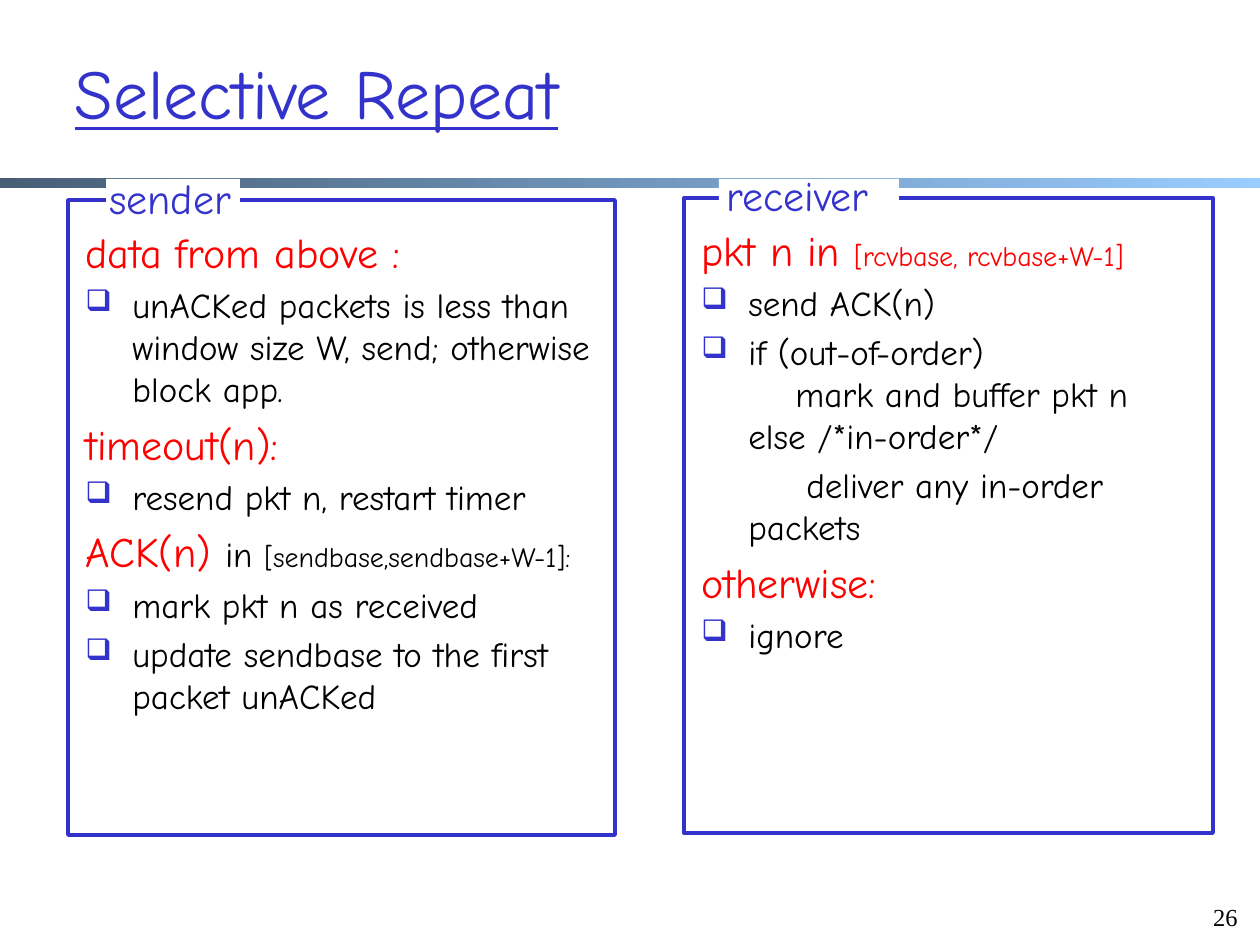
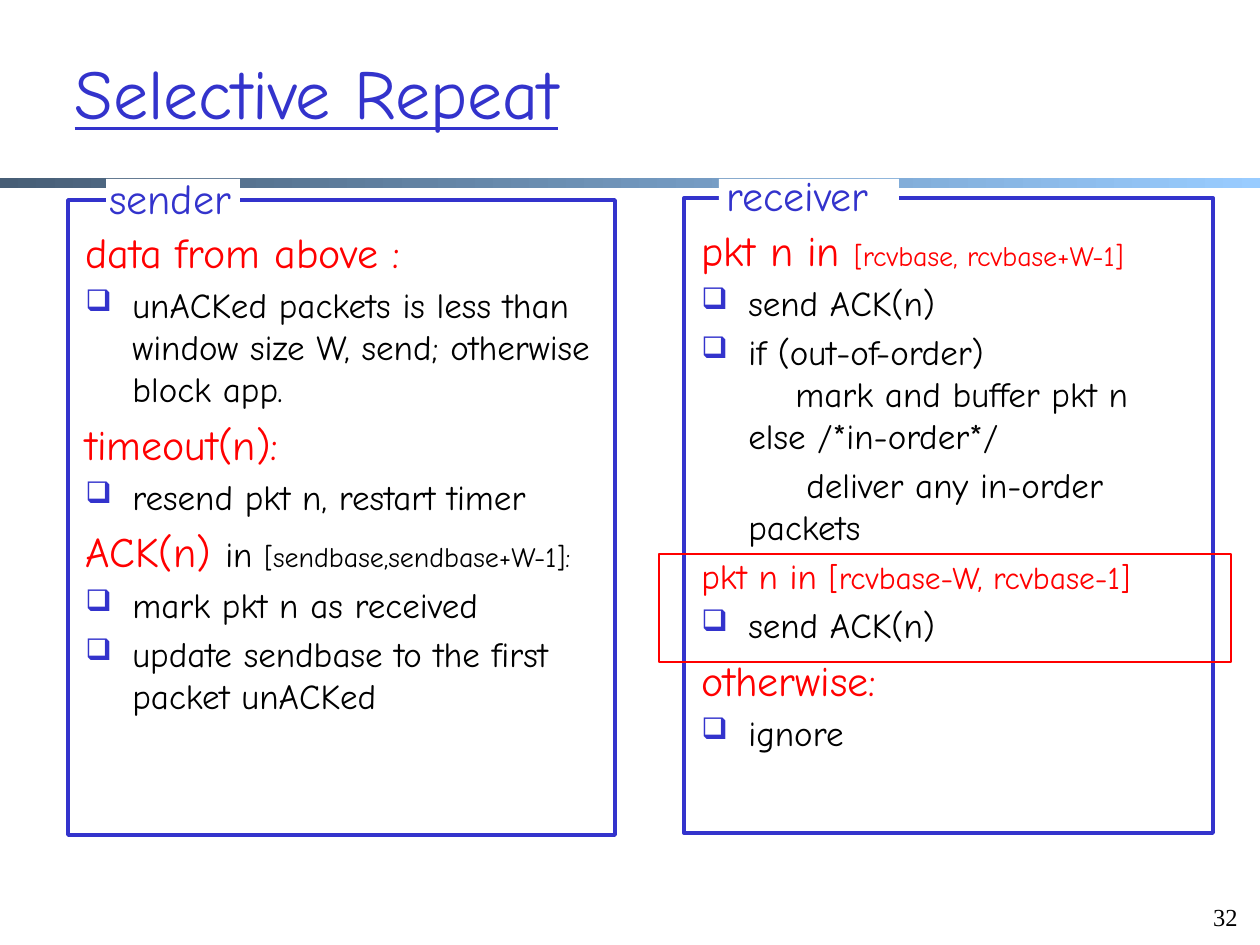
from lxml import etree
from pptx import Presentation
from pptx import util as u
from pptx.dml.color import RGBColor
from pptx.enum import shapes, text
from pptx.oxml import ns

BLUE = RGBColor(0x33, 0x33, 0xCC)
RED = RGBColor(0xFF, 0x00, 0x00)
BLACK = RGBColor(0x00, 0x00, 0x00)
WHITE = RGBColor(0xFF, 0xFF, 0xFF)
BAND_DARK = RGBColor(0x47, 0x5E, 0x76)
BAND_LIGHT = RGBColor(0x99, 0xCC, 0xFF)

PX_PER_INCH = 126
INDENT = 47  # hanging indent of bulleted text


def px(length):
    return u.Emu(round(length * u.Inches(1) / PX_PER_INCH))


# Run formats
BODY = {"size": u.Pt(20), "name": "Comic Neue", "color": BLACK}
SMALL = {**BODY, "size": u.Pt(16)}
HEADING = {**BODY, "size": u.Pt(24), "color": RED}
RANGE = {**HEADING, "size": u.Pt(16)}
LABEL = {**HEADING, "color": BLUE}
TITLE = {**LABEL, "size": u.Pt(40), "underline": True}
NUMBER = {"size": u.Pt(14), "name": "Times New Roman", "color": BLACK}


# Paragraph kinds: each is (runs, layout)
def heading(*runs):
    return runs, {"left": INDENT, "first": -INDENT}


def bullet(words):
    return [(words, BODY)], {"left": INDENT, "first": -INDENT, "bullet": True}


def code(words, left=INDENT, first=0, spaced=False):
    return [(words, BODY)], {"left": left, "first": first, "spaced": spaced}


class Deck:
    def __init__(self):
        self.presentation = Presentation()
        self.presentation.slide_width = px(1260)
        self.presentation.slide_height = px(945)
        self.slide = None

    def start_slide(self, title):
        layout = self.presentation.slide_layouts[5]
        self.slide = self.presentation.slides.add_slide(layout)
        self.band(0, 178, 1260, 10)
        shape = self.slide.shapes.title
        shape.left, shape.top, shape.width, shape.height = map(px, (62, 34, 1071, 116))
        shape.text_frame.vertical_anchor = text.MSO_ANCHOR.MIDDLE
        paragraph = shape.text_frame.paragraphs[0]
        paragraph.alignment = text.PP_ALIGN.LEFT
        self.run(paragraph, title, TITLE)

    def rectangle(self, left, top, width, height, fill=None, line=None, weight=1):
        shape = self.slide.shapes.add_shape(
            shapes.MSO_SHAPE.RECTANGLE, *map(px, (left, top, width, height)))
        shape.shadow.inherit = False
        if fill is None:
            shape.fill.background()
        else:
            shape.fill.solid()
            shape.fill.fore_color.rgb = fill
        if line is None:
            shape.line.fill.background()
        else:
            shape.line.color.rgb = line
            shape.line.width = u.Pt(weight)
        return shape

    def band(self, *box):
        fill = self.rectangle(*box).fill
        fill.gradient()
        fill.gradient_angle = 0
        for stop, color in zip(fill.gradient_stops, (BAND_DARK, BAND_LIGHT)):
            stop.color.rgb = color

    def run(self, paragraph, words, style):
        run = paragraph.add_run()
        run.text = words
        for key, value in style.items():
            if key == "color":
                run.font.color.rgb = value
            else:
                setattr(run.font, key, value)

    def text_box(self, left, top, width, height):
        frame = self.slide.shapes.add_textbox(
            *map(px, (left, top, width, height))).text_frame
        frame.word_wrap = True
        return frame

    def line_of_text(self, box, words, style, **paragraph_format):
        paragraph = self.text_box(*box).paragraphs[0]
        for key, value in paragraph_format.items():
            setattr(paragraph, key, value)
        self.run(paragraph, words, style)

    def paragraphs(self, box, items):
        frame = self.text_box(*box)
        for index, (runs, layout) in enumerate(items):
            paragraph = frame.add_paragraph() if index else frame.paragraphs[0]
            for words, style in runs:
                self.run(paragraph, words, style)
            if layout.get("spaced", True):
                paragraph.space_before = u.Pt(runs[0][1]["size"].pt * 0.2)
            properties = paragraph._p.get_or_add_pPr()
            properties.set("marL", str(px(layout["left"])))
            properties.set("indent", str(px(layout["first"])))
            if layout.get("bullet"):
                self.bullet_mark(properties)

    def bullet_mark(self, properties):
        color = etree.SubElement(properties, ns.qn("a:buClr"))
        etree.SubElement(color, ns.qn("a:srgbClr"), val=str(BLUE))
        etree.SubElement(properties, ns.qn("a:buSzPct"), val="85000")
        etree.SubElement(properties, ns.qn("a:buChar"), char="❑")

    def panel(self, label, frame, patch, label_box, text_box, items):
        self.paragraphs(text_box, items)
        self.rectangle(*frame, line=BLUE, weight=2.25)
        self.rectangle(*patch, fill=WHITE)
        self.line_of_text(label_box, label, LABEL)

    def page_number(self, number):
        self.line_of_text((1192, 896, 58, 40), str(number), NUMBER,
                          alignment=text.PP_ALIGN.RIGHT)


SENDER = [
    heading(("data from above :", HEADING)),
    bullet("unACKed packets is less than window size W, send; otherwise block app."),
    heading(("timeout(n):", HEADING)),
    bullet("resend pkt n, restart timer"),
    heading(("ACK(n) ", HEADING), ("in ", BODY), ("[sendbase,sendbase+W-1]:", SMALL)),
    bullet("mark pkt n as received"),
    bullet("update sendbase to the first packet unACKed"),
]
RECEIVER = [
    heading(("pkt n in ", HEADING), ("[rcvbase, rcvbase+W-1]", RANGE)),
    bullet("send ACK(n)"),
    bullet("if (out-of-order)"),
    code("mark and buffer pkt n", left=2 * INDENT),
    code("else /*in-order*/"),
    code("deliver any in-order packets", first=58, spaced=True),
]
OLD_PACKETS = [
    heading(("pkt n in ", {**BODY, "color": RED}),
            ("[rcvbase-W, rcvbase-1]", {**RANGE, "size": u.Pt(18)})),
    bullet("send ACK(n)"),
]
OTHERWISE = [heading(("otherwise:", HEADING)), bullet("ignore")]


def selective_repeat(deck, number, extra_case=()):
    deck.start_slide("Selective Repeat")
    deck.panel("sender", (68, 200, 547, 635), (106, 179, 134, 39),
               (97, 166, 159, 63), (73, 220, 568, 659), SENDER)
    deck.panel("receiver", (684, 198, 529, 635), (719, 179, 180, 39),
               (714, 163, 188, 63), (689, 218, 525, 640),
               [*RECEIVER, *extra_case, *OTHERWISE])
    deck.page_number(number)


def main():
    deck = Deck()
    selective_repeat(deck, 26)

    # Second slide adds the case of packets below the window
    selective_repeat(deck, 32, OLD_PACKETS)
    deck.rectangle(659, 554, 572, 108, line=RED, weight=0.75)

    deck.presentation.save("out.pptx")


if __name__ == "__main__":
    main()
